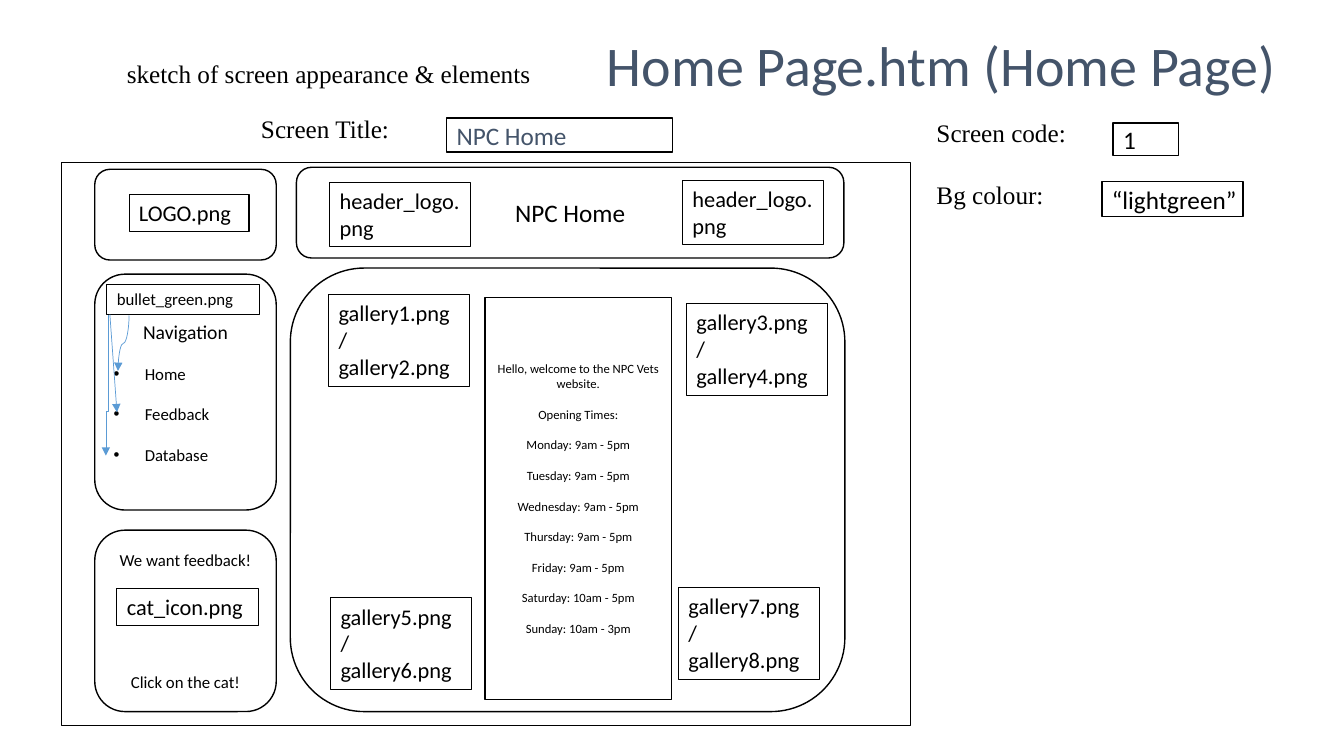
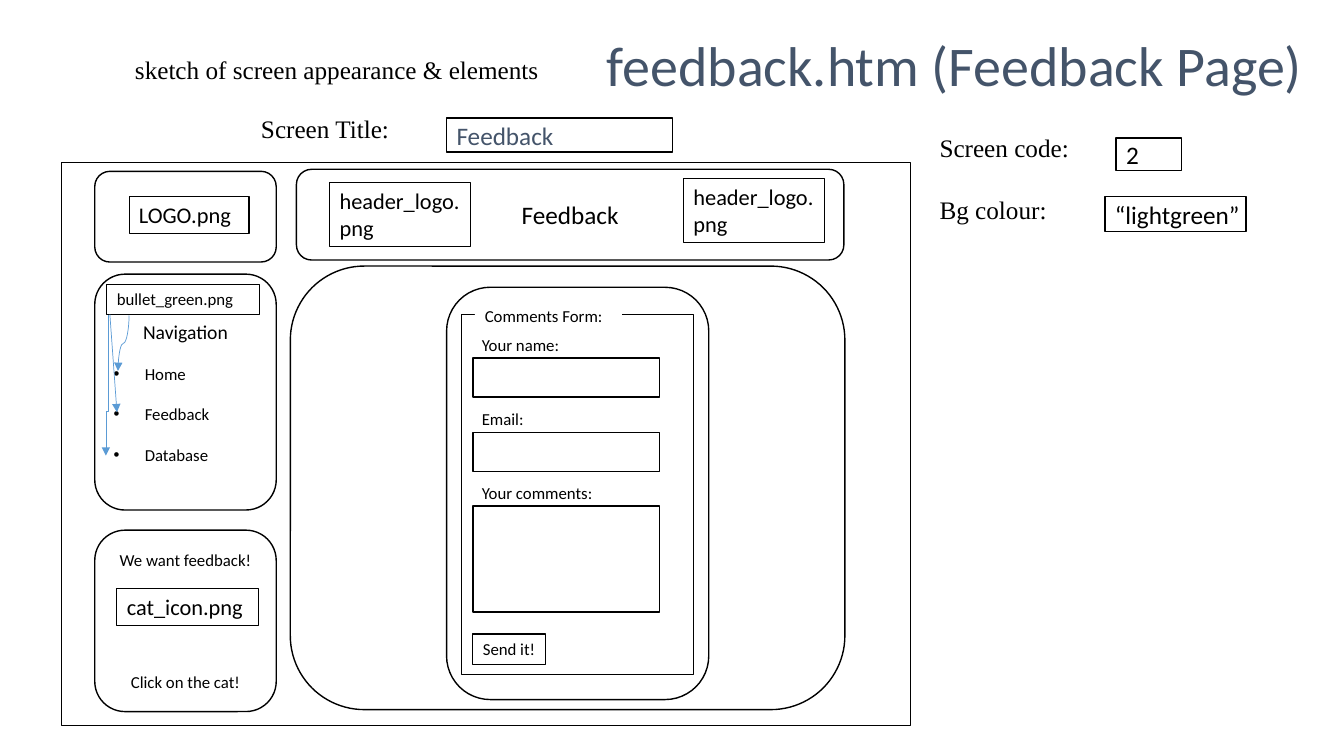
from lxml.etree import SubElement
from pptx import Presentation
from pptx.dml.color import RGBColor
from pptx.enum.shapes import MSO_CONNECTOR as LINK, MSO_SHAPE as SHAPE
from pptx.enum.text import MSO_ANCHOR as ANCHOR, MSO_AUTO_SIZE as AUTO, PP_ALIGN as ALIGN
from pptx.oxml.ns import qn
from pptx.util import Inches, Pt

BLACK, WHITE, SLATE, BLUE = "000000", "FFFFFF", "44546A", "5B9BD5"
SANS, SERIF = "Calibri", "Times New Roman"
HOURS = [
    "Hello, welcome to the NPC Vets website.", "Opening Times:",
    "Monday: 9am - 5pm", "Tuesday: 9am - 5pm", "Wednesday: 9am - 5pm",
    "Thursday: 9am - 5pm", "Friday: 9am - 5pm", "Saturday: 10am - 5pm",
    "Sunday: 10am - 3pm",
]


def rgb(code):
    """Turn a hex string into a colour."""
    return RGBColor.from_string(code)


def write(shape, text, size=18, font=SANS, color=BLACK, align=ALIGN.LEFT,
          anchor=ANCHOR.TOP, wrap=True, gap=0):
    """Fill a shape with one paragraph per line, gap points apart; return them."""
    frame = shape.text_frame
    frame.text = text
    frame.word_wrap = wrap
    frame.auto_size = AUTO.NONE
    frame.vertical_anchor = anchor
    for index, para in enumerate(frame.paragraphs):
        para.alignment = align
        para.space_before = Pt(gap if index else 0)
        para.font.size = Pt(size)
        for span in para.runs:
            span.font.size = Pt(size)
            span.font.name = font
            span.font.color.rgb = rgb(color)
    return frame.paragraphs


def add_box(page, left, top, width, height, kind=SHAPE.RECTANGLE, fill=None,
            line=BLACK, weight=1):
    """Add an outlined preset shape."""
    box = page.shapes.add_shape(kind, Inches(left), Inches(top),
                                Inches(width), Inches(height))
    box.shadow.inherit = False
    if fill:
        box.fill.solid()
        box.fill.fore_color.rgb = rgb(fill)
    else:
        box.fill.background()
    if line:
        box.line.color.rgb = rgb(line)
        box.line.width = Pt(weight)
    else:
        box.line.fill.background()
    return box


def add_panel(page, left, top, width, height):
    """Add a white rounded panel."""
    return add_box(page, left, top, width, height, SHAPE.ROUNDED_RECTANGLE, WHITE)


def add_tag(page, text, left, top, width, height, size=16):
    """Add a thin-lined box that names an element."""
    write(add_box(page, left, top, width, height, weight=0.75), text, size=size)


def add_field(page, text, left, top, width, height, color=BLACK):
    """Add a box holding one value of the screen sheet."""
    write(add_box(page, left, top, width, height), text, color=color,
          anchor=ANCHOR.MIDDLE, wrap=False)


def add_label(page, text, left, top, width, height, **style):
    """Add a plain text box."""
    label = page.shapes.add_textbox(Inches(left), Inches(top),
                                    Inches(width), Inches(height))
    write(label, text, **style)


def add_arrow(page, start, end, kind=LINK.STRAIGHT, bend=None):
    """Add a blue arrow; curved and bent ones leave downwards."""
    (x1, y1), (x2, y2) = start, end
    turned = kind != LINK.STRAIGHT
    if turned:
        middle_x, middle_y = (x1 + x2) / 2, (y1 + y2) / 2
        half_width, half_height = (y2 - y1) / 2, (x1 - x2) / 2
        x1, x2 = middle_x - half_width, middle_x + half_width
        y1, y2 = middle_y - half_height, middle_y + half_height
    arrow = page.shapes.add_connector(kind, Inches(x1), Inches(y1),
                                      Inches(x2), Inches(y2))
    arrow.line.color.rgb = rgb(BLUE)
    arrow.line.width = Pt(0.5)
    properties = arrow.element.spPr
    if turned:
        properties.find(qn("a:xfrm")).set("rot", "5400000")
    if bend:
        guides = properties.find(qn("a:prstGeom")).find(qn("a:avLst"))
        SubElement(guides, qn("a:gd"), name="adj1", fmla=f"val {bend}")
    SubElement(properties.find(qn("a:ln")), qn("a:tailEnd"), type="triangle")
    SubElement(properties, qn("a:effectLst"))


def add_bullet(para):
    """Give a paragraph a hanging bullet."""
    para.alignment = ALIGN.LEFT
    format_node = para._p.get_or_add_pPr()
    format_node.set("marL", str(Inches(0.31)))
    format_node.set("indent", str(-Inches(0.31)))
    SubElement(format_node, qn("a:buFont"), typeface="Arial")
    SubElement(format_node, qn("a:buChar"), char="•")


def add_navigation(page):
    """Add the menu panel with its bullet image and arrows."""
    panel = add_panel(page, 0.94, 2.72, 1.8, 2.34)
    heading, *links = write(panel, "Navigation\nHome\nFeedback\nDatabase", size=12,
                            align=ALIGN.CENTER, anchor=ANCHOR.MIDDLE, gap=14.6)
    heading.runs[0].font.size = Pt(14)
    for link in links:
        add_bullet(link)
    add_tag(page, "bullet_green.png", 1.06, 2.82, 1.51, 0.3, size=12)
    add_arrow(page, (1.28, 3.13), (1.17, 3.68), LINK.CURVE)
    add_arrow(page, (1.07, 3.13), (1.05, 4.52), LINK.ELBOW, bend=68300)
    add_arrow(page, (1.09, 3.12), (1.16, 4.09))


def add_screen_facts(page, code, left, top):
    """Add the screen code and background colour."""
    add_label(page, "Screen code:\nBg colour:", left, top, 1.5, 1.31,
              font=SERIF, wrap=False, gap=23)
    add_field(page, code, left + 1.85, top + 0.11, 0.65, 0.32)
    add_field(page, "“lightgreen”", left + 1.74, top + 0.69, 1.4, 0.35)


def add_screen(deck, title, title_width, name, code, caption_at, facts_at,
               header_top, second_logo_at, content_top):
    """Add a page with the parts that every screen sketch has."""
    page = deck.slides.add_slide(deck.slide_layouts[5])
    heading = page.shapes.title
    heading.left, heading.top = Inches(5.92), Inches(0.25)
    heading.width, heading.height = Inches(title_width), Inches(0.77)
    write(heading, title, size=40, color=SLATE, wrap=False)

    add_box(page, 0.61, 1.61, 8.42, 5.59)
    add_label(page, "Screen Title:", 2.49, 1.08, 1.48, 0.4, font=SERIF, wrap=False)
    add_label(page, "sketch of screen appearance & elements", *caption_at, 4.25, 0.4,
              font=SERIF, wrap=False)
    add_field(page, name, 4.43, 1.17, 2.24, 0.34, color=SLATE)
    add_screen_facts(page, code, *facts_at)

    add_panel(page, 0.94, header_top + 0.02, 1.8, 0.9)
    add_tag(page, "LOGO.png", 1.28, header_top + 0.27, 1.19, 0.37)
    write(add_panel(page, 2.94, header_top, 5.43, 0.9), name,
          align=ALIGN.CENTER, anchor=ANCHOR.MIDDLE)
    for left, top in ((3.27, 1.81), second_logo_at):
        add_tag(page, "header_logo.png", left, top, 1.4, 0.64)

    add_navigation(page)
    write(add_panel(page, 0.94, 5.26, 1.8, 1.8), "We want feedback!\nClick on the cat!",
          size=12, align=ALIGN.CENTER, anchor=ANCHOR.MIDDLE, gap=73)
    add_tag(page, "cat_icon.png", 1.16, 5.84, 1.4, 0.37)
    add_panel(page, 2.88, content_top, 5.5, 4.4)
    return page


def add_welcome(page):
    """Add the opening times and the galleries around them."""
    write(add_box(page, 4.81, 2.95, 1.85, 3.99), "\n".join(HOURS), size=9,
          align=ALIGN.CENTER, anchor=ANCHOR.MIDDLE, gap=11)
    corners = ((3.26, 2.92), (6.81, 3.01), (3.28, 5.93), (6.73, 5.83))
    for index, (left, top) in enumerate(corners):
        first = 2 * index + 1
        add_tag(page, f"gallery{first}.png / gallery{first + 1}.png",
                left, top, 1.4, 0.91)


def add_comments_form(page):
    """Add the form with its three labelled entry boxes."""
    add_panel(page, 4.43, 2.85, 2.6, 4.09)
    add_box(page, 4.58, 3.12, 2.3, 3.57)
    legend = add_box(page, 4.71, 2.98, 1.46, 0.3, fill=WHITE, line=None)
    write(legend, "Comments Form:", size=12)
    entries = (("Your name:", 3.27, 0.39), ("Email:", 4.01, 0.39),
               ("Your comments:", 4.74, 1.05))
    for text, top, height in entries:
        add_label(page, text, 4.68, top, 1.48, 0.3, size=12)
        add_box(page, 4.69, top + 0.28, 1.85, height)
    add_tag(page, "Send it!", 4.69, 6.29, 0.72, 0.3, size=12)


def main():
    """Build the deck."""
    deck = Presentation()
    deck.slide_width, deck.slide_height = Inches(13.33), Inches(7.5)
    home = add_screen(deck, "Home Page.htm (Home Page)", 6.9, "NPC Home", "1",
                      caption_at=(1.16, 0.53), facts_at=(9.19, 1.11), header_top=1.66,
                      second_logo_at=(6.77, 1.79), content_top=2.66)
    add_welcome(home)
    feedback = add_screen(deck, "feedback.htm (Feedback Page)", 7.16, "Feedback", "2",
                          caption_at=(1.24, 0.49), facts_at=(9.22, 1.26),
                          header_top=1.68, second_logo_at=(6.78, 1.77),
                          content_top=2.64)
    add_comments_form(feedback)
    deck.save("out.pptx")


main()
